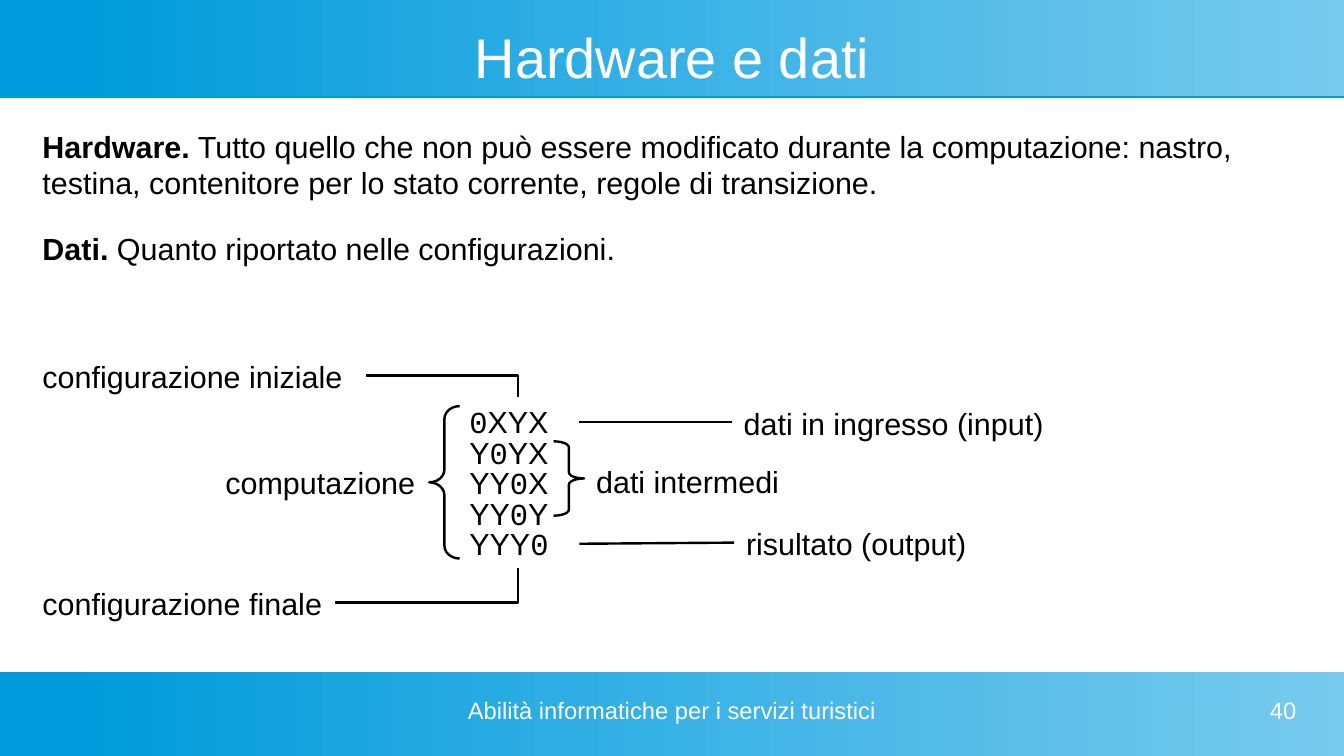
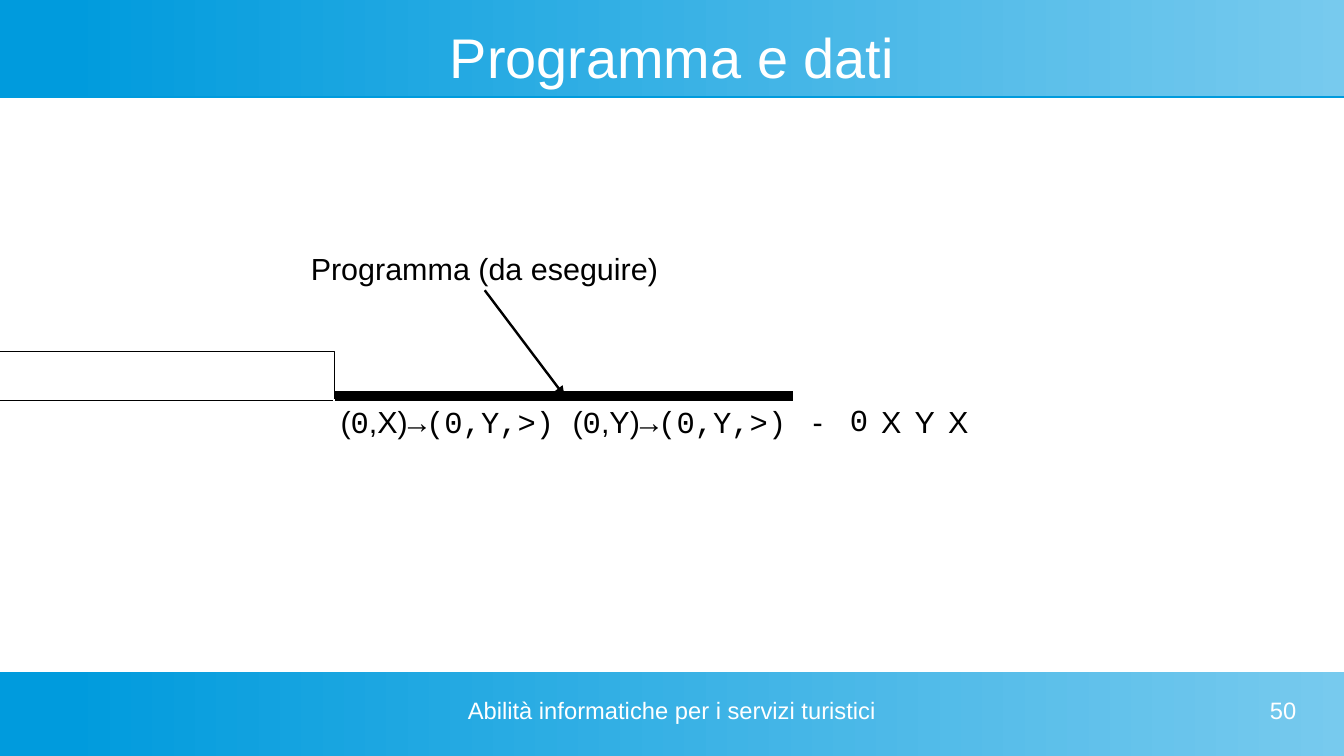
from pptx import Presentation
from pptx.dml.color import RGBColor
from pptx.enum import shapes, text
from pptx.oxml.ns import qn
from pptx.util import Pt

HEX = {"dark": "009BDD", "light": "77CAEE", "white": "FFFFFF", "black": "000000"}
WIDE, HIGH = 793.5, 446.4
LEFT, CENTER, RIGHT = text.PP_ALIGN.LEFT, text.PP_ALIGN.CENTER, text.PP_ALIGN.RIGHT
INSET = (7.2, 3.6, 7.2, 3.6)
BARE = (0, 0, 0, 0)
TOP, WEST, BOTTOM, EAST = range(4)
MONO, BOLD = {"name": "Courier New"}, {"bold": True}
BODY = {"name": "Arial", "size": Pt(18), "bold": False}
HEAD = {**BODY, "size": Pt(33)}
FOOT = {**BODY, "size": Pt(14)}

BANDS = [(0, 57), (396.7, HIGH - 396.7)]
FOOTER = "Abilità informatiche per i servizi turistici"

INTRO = [
    ("|Hardware.| Tutto quello che non può essere modificato durante la computazione: "
     "nastro, testina, contenitore per lo stato corrente, regole di transizione.", 72),
    ("|Dati.| Quanto riportato nelle configurazioni.", 132.5),
]
TAPES = ["|0|XYX", "Y|0|YX", "YY|0|X", "YY|0|Y", "YYY|0|"]
LABELS = {
    "start": ("configurazione iniziale", 18, 208, 198),
    "end": ("configurazione finale", 18, 342, 180),
    "run": ("computazione", 126, 270.7, 144),
    "input": ("dati in ingresso (input)", 432, 235.4, 198),
    "output": ("risultato (output)", 433.4, 306.7, 198),
    "middle": ("dati intermedi", 344.9, 270, 144),
}
LINKS = [
    ("start", EAST, 0, TOP, "bentConnector2"),
    ("end", EAST, -1, BOTTOM, "bentConnector2"),
    ("input", WEST, 0, EAST, "line"),
    ("output", WEST, -1, EAST, "line"),
]
BRACES = [
    (shapes.MSO_SHAPE.LEFT_BRACE, (253.4, 239.8, 18, 90), 0.42),
    (shapes.MSO_SHAPE.RIGHT_BRACE, (326.9, 260.6, 18, 43.9), 0.2),
]
CELLS = [
    ("(|0|,X)|→(0,Y,>) |(|0|,Y)|→(0,Y,>)", 270.7),
    ("-", 29.5), ("|0|", 19.4), ("X", 18.7), ("Y", 20.9), ("X", 18.7),
]


def color(name):
    return RGBColor.from_string(HEX[name])


def style(obj, vals):
    for key, val in vals.items():
        setattr(obj, key, val)


def write(frame, words, look=BODY, alt=MONO, hue="black", align=LEFT):
    par = frame.paragraphs[0]
    par.alignment = align
    for idx, part in enumerate(words.split("|")):
        if part:
            run = par.add_run()
            run.text = part
            style(run.font, {**look, **(alt if idx % 2 else {})})
            run.font.color.rgb = color(hue)


def label(slide, words, box, pad=INSET, wrap=True, mid=False, **opts):
    shape = slide.shapes.add_textbox(*map(Pt, box))
    frame = shape.text_frame
    sides = ("margin_left", "margin_top", "margin_right", "margin_bottom")
    style(frame, dict(zip(sides, map(Pt, pad))))
    frame.word_wrap = wrap
    if mid:
        frame.vertical_anchor = text.MSO_ANCHOR.MIDDLE
    write(frame, words, **opts)
    return shape


def ink(shape, width, hue="black"):
    shape.line.width = Pt(width)
    shape.line.color.rgb = color(hue)


def outline(shape, width):
    shape.shadow.inherit = False
    shape.fill.background()
    ink(shape, width)


def line(slide, ends, width, hue="black", kind=shapes.MSO_CONNECTOR.STRAIGHT):
    link = slide.shapes.add_connector(kind, *map(Pt, ends))
    ink(link, width, hue)
    props = link._element.spPr
    props.append(props.makeelement(qn("a:effectLst"), {}))
    return link


def base(deck, title, page):
    slide = deck.slides.add_slide(deck.slide_layouts[6])
    for top, high in BANDS:
        box = (0, top, WIDE, high)
        band = slide.shapes.add_shape(shapes.MSO_SHAPE.RECTANGLE, *map(Pt, box))
        band.shadow.inherit = False
        band.line.fill.background()
        band.fill.gradient()
        band.fill.gradient_angle = 0
        for stop, name, pos in zip(band.fill.gradient_stops, ("dark", "light"), (0.05, 1)):
            stop.color.rgb = color(name)
            stop.position = pos
    line(slide, (0, 57.3, WIDE, 57.3), 0.9, "dark")
    label(slide, title, (28, 14.4, 737.5, 37.4), BARE, mid=True,
          look=HEAD, hue="white", align=CENTER)
    for words, left, wide, align in ((FOOTER, 269.3, 254.9, CENTER),
                                     (str(page), 581, 184.4, RIGHT)):
        label(slide, words, (left, 411.1, wide, 28), BARE,
              look=FOOT, hue="white", align=align)
    return slide


def hardware(deck):
    slide = base(deck, "Hardware e dati", 40)
    for words, top in INTRO:
        label(slide, words, (18, top, 738, 47.5), alt=BOLD)
    tapes = [label(slide, words, (270, 234.7 + 18 * row, 72, 28.8))
             for row, words in enumerate(TAPES)]
    notes = {key: label(slide, words, (left, top, wide, 27.4))
             for key, (words, left, top, wide) in LABELS.items()}
    for kind, box, bend in BRACES:
        brace = slide.shapes.add_shape(kind, *map(Pt, box))
        brace.adjustments[0] = bend
        outline(brace, 1.42)
    for key, side, row, face, form in LINKS:
        bent = form != "line"
        kind = shapes.MSO_CONNECTOR.ELBOW if bent else shapes.MSO_CONNECTOR.STRAIGHT
        link = line(slide, BARE, 1.42, kind=kind)
        link.begin_connect(notes[key], side)
        link.end_connect(tapes[row], face)
        link._element.spPr.find(qn("a:prstGeom")).set("prst", form)


def program(deck):
    slide = base(deck, "Programma e dati", 50)
    pen = slide.shapes.build_freeform(Pt(0), Pt(207.4))
    pen.add_line_segments([(Pt(x), Pt(y)) for x, y in
                           ((197.5, 207.4), (197.5, 236.6), (0, 236.6))], close=False)
    outline(pen.convert_to_shape(), 0.57)

    wide = sum(size for _, size in CELLS)
    table = slide.shapes.add_table(1, len(CELLS), *map(Pt, (197.3, 236.2, wide, 27.4))).table
    style(table, {"first_row": False, "horz_banding": False})
    for idx, (words, size) in enumerate(CELLS):
        table.columns[idx].width = Pt(size)
        cell = table.cell(0, idx)
        cell.fill.background()
        style(cell, {"margin_left": Pt(2.9), "margin_right": Pt(2.9)})
        write(cell.text_frame, words, align=CENTER)

    line(slide, (198, 234, 468, 234), 6)
    note = label(slide, "Programma (da eseguire)", (176.4, 144, 219.6, 27.4), wrap=False)
    arrow = line(slide, (286.2, 171.4, 333.4, 234), 1.42)
    arrow.begin_connect(note, BOTTOM)
    stroke = arrow.line._get_or_add_ln()
    stroke.append(stroke.makeelement(qn("a:tailEnd"), {"type": "triangle"}))


def main():
    deck = Presentation()
    style(deck, {"slide_width": Pt(WIDE), "slide_height": Pt(HIGH)})
    hardware(deck)
    program(deck)
    deck.save("out.pptx")


if __name__ == "__main__":
    main()
